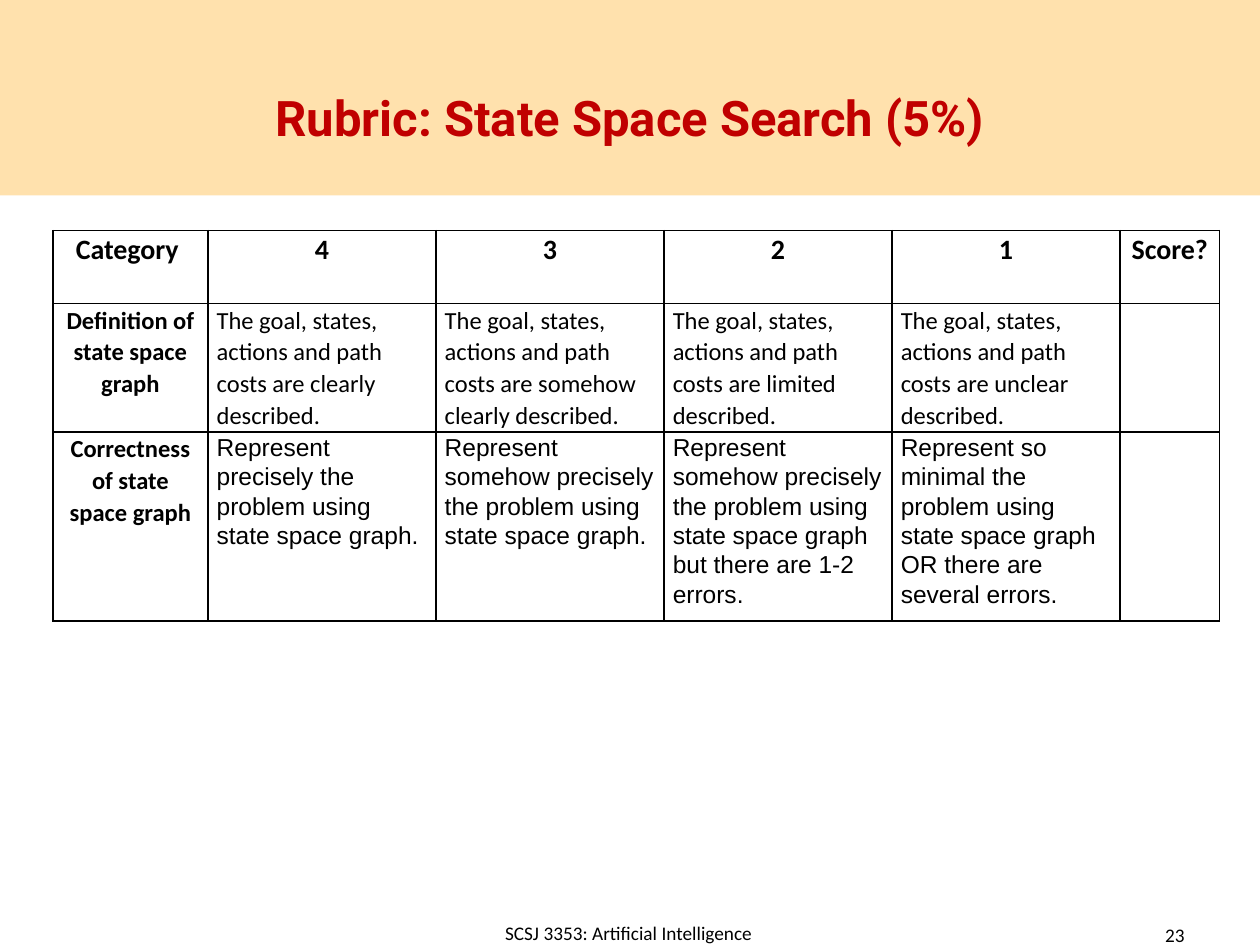
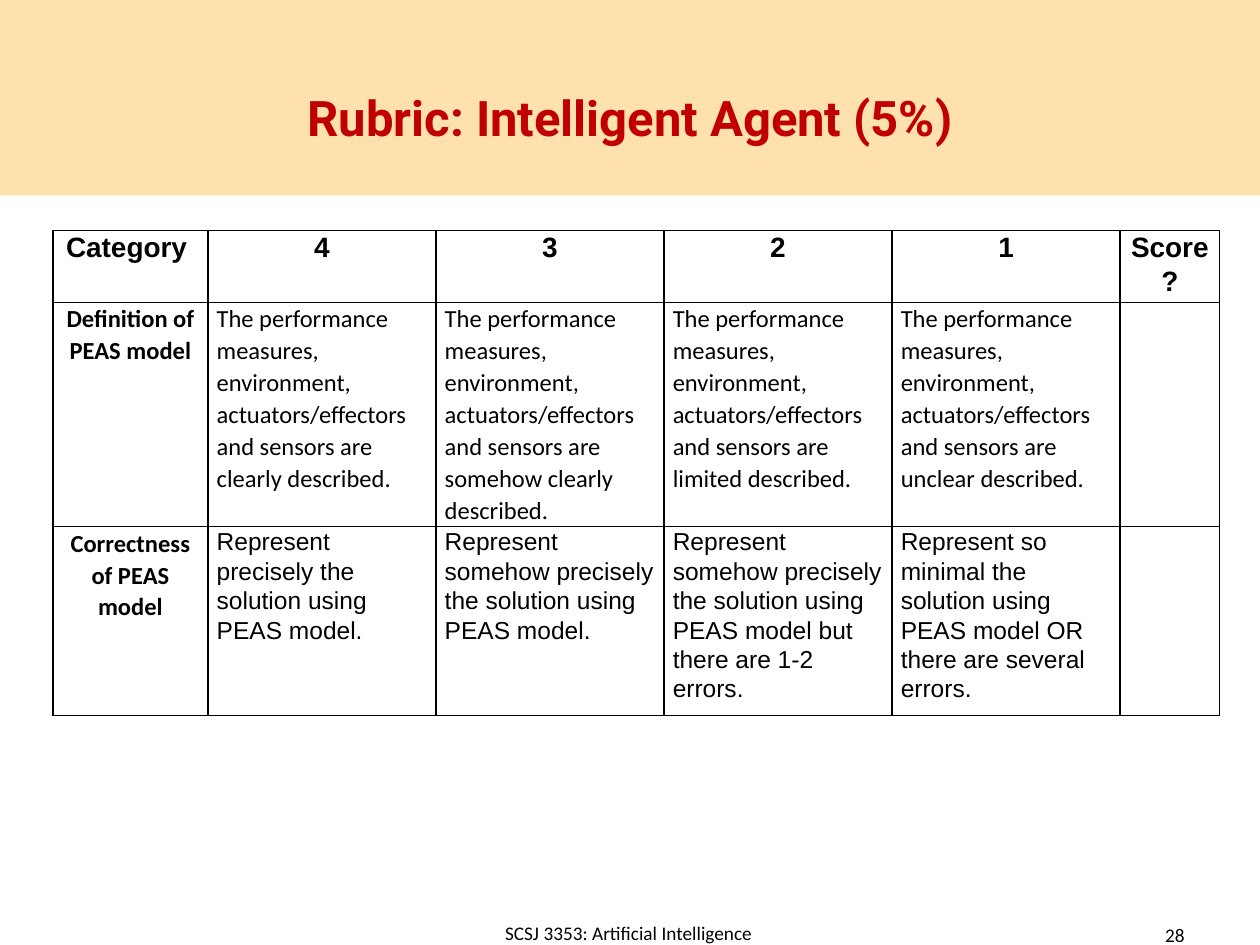
import pptx
import pptx.util
import pptx.dml.color
import pptx.enum.shapes
import pptx.enum.text
import pptx.oxml
import pptx.oxml.ns
from dataclasses import dataclass

ALIGN = pptx.enum.text.PP_ALIGN
MID = pptx.enum.text.MSO_ANCHOR.MIDDLE


@dataclass(frozen=True)
class Theme:
    band: str = "FFE1AD"
    title: str = "C00000"
    ink: str = "000000"
    head: str = "Roboto"
    sans: str = "Calibri"
    alt: str = "Arial"
    big: int = 28
    label: int = 16
    text: int = 14
    small: int = 11


THEME = Theme()

# Page grid: 100 columns by 75 rows of square units
COLS, ROWS = 100, 75
WIDE = pptx.util.Inches(10)
UNIT = WIDE / COLS

BAND = (0, 0, COLS, 15.5)
TITLE = (5, 3, 90, 12.5)
FOOT = (27, 72.4, 45.8, 3.3)
PAGE = (71.7, 72.2, 23.3, 4)
GRID = (4.2, 18.3)
WIDTHS = [12.3] + [18.1] * 4 + [7.9]

# Wording shared by both rubrics
HEADS = ["Category ", "4", "3", "2", "1", "Score?"]
GRADES = ["clearly", "somehow clearly", "limited", "unclear"]
FITS = [
    "Represent precisely the {}.",
    "Represent somehow precisely the {}.",
    "Represent somehow precisely the {} but there are 1-2 errors.",
    "Represent so minimal the {} OR there are several errors.",
]


@dataclass(frozen=True)
class Rubric:
    name: str
    page: str
    model: str
    facts: str
    aim: str
    font: str
    rows: tuple


RUBRICS = [
    Rubric("State Space Search", "23", "state space graph",
           "goal, states, actions and path costs", "problem",
           THEME.sans, (5.8, 10.2, 14)),
    Rubric("Intelligent Agent", "28", "PEAS model",
           "performance measures, environment, actuators/effectors and sensors",
           "solution", THEME.alt, (5.2, 17.8, 14)),
]


def span(count):
    return pptx.util.Emu(round(count * UNIT))


def place(box):
    return [span(side) for side in box]


def tint(code):
    return pptx.dml.color.RGBColor.from_string(code)


def write(frame, text, font, size, color=THEME.ink, bold=False, align=ALIGN.LEFT):
    para = frame.paragraphs[0]
    para.alignment = align
    run = para.add_run()
    run.text = text
    run.font.name = font
    run.font.size = pptx.util.Pt(size)
    run.font.bold = bold
    run.font.color.rgb = tint(color)
    return para


# Band behind the title, kept on the slide master
def add_band(deck, slide, box):
    band = slide.shapes.add_shape(
        pptx.enum.shapes.MSO_SHAPE.RECTANGLE, *place(box))
    band.shadow.inherit = False
    band.fill.solid()
    band.fill.fore_color.rgb = tint(THEME.band)
    band.line.fill.background()
    deck.slide_master.shapes.element.insert(2, band.element)


def add_title(slide, box, text):
    title = slide.shapes.title
    title.left, title.top, title.width, title.height = place(box)
    frame = title.text_frame
    frame.auto_size = pptx.enum.text.MSO_AUTO_SIZE.NONE
    frame.vertical_anchor = MID
    write(frame, text, THEME.head, THEME.big, THEME.title, True, ALIGN.CENTER)


def add_note(slide, box, text, align):
    frame = slide.shapes.add_textbox(*place(box)).text_frame
    frame.word_wrap = True
    frame.vertical_anchor = MID
    write(frame, text, THEME.sans, THEME.small, align=align)


# Thin rule on all four sides of a cell
def add_edges(cell):
    props = cell._tc.get_or_add_tcPr()
    space = pptx.oxml.ns.nsdecls("a")
    for spot, side in enumerate(("lnL", "lnR", "lnT", "lnB")):
        props.insert(spot, pptx.oxml.parse_xml(
            f'<a:{side} {space} w="{pptx.util.Pt(1)}"><a:solidFill>'
            f'<a:srgbClr val="{THEME.ink}"/></a:solidFill></a:{side}>'))


def fill_cell(cell, text, font, size, bold):
    cell.margin_left = cell.margin_right = span(0.7)
    cell.margin_top = cell.margin_bottom = 0
    cell.fill.background()
    add_edges(cell)
    if text:
        align = ALIGN.CENTER if bold else ALIGN.LEFT
        para = write(cell.text_frame, text, font, size, bold=bold, align=align)
        para.line_spacing = 1.07


def add_table(slide, spot, rubric):
    goal = f"{rubric.aim} using {rubric.model}"
    lines = [
        HEADS,
        [f"Definition of {rubric.model}"]
        + [f"The {rubric.facts} are {grade} described." for grade in GRADES] + [""],
        [f"Correctness of {rubric.model}"]
        + [fit.format(goal) for fit in FITS] + [""],
    ]
    box = (*spot, sum(WIDTHS), sum(rubric.rows))
    table = slide.shapes.add_table(len(lines), len(WIDTHS), *place(box)).table
    table.first_row = table.horz_banding = False
    for col, width in zip(table.columns, WIDTHS):
        col.width = span(width)
    for row, tall in zip(table.rows, rubric.rows):
        row.height = span(tall)

    fonts = [rubric.font, THEME.sans, THEME.alt]
    for down, line in enumerate(lines):
        for over, text in enumerate(line):
            first = over == 0
            font = THEME.sans if down and first else fonts[down]
            size = THEME.text if down else THEME.label
            fill_cell(table.cell(down, over), text, font, size, first or not down)


def add_rubric(deck, rubric):
    slide = deck.slides.add_slide(deck.slide_layouts.get_by_name("Title Only"))
    add_title(slide, TITLE, f"Rubric: {rubric.name} (5%)")
    add_note(slide, FOOT, "SCSJ 3353: Artificial Intelligence", ALIGN.CENTER)
    add_note(slide, PAGE, rubric.page, ALIGN.RIGHT)
    add_table(slide, GRID, rubric)
    return slide


def main():
    deck = pptx.Presentation()
    deck.slide_width, deck.slide_height = WIDE, span(ROWS)
    slides = [add_rubric(deck, rubric) for rubric in RUBRICS]
    add_band(deck, slides[0], BAND)
    deck.save("out.pptx")


if __name__ == "__main__":
    main()
